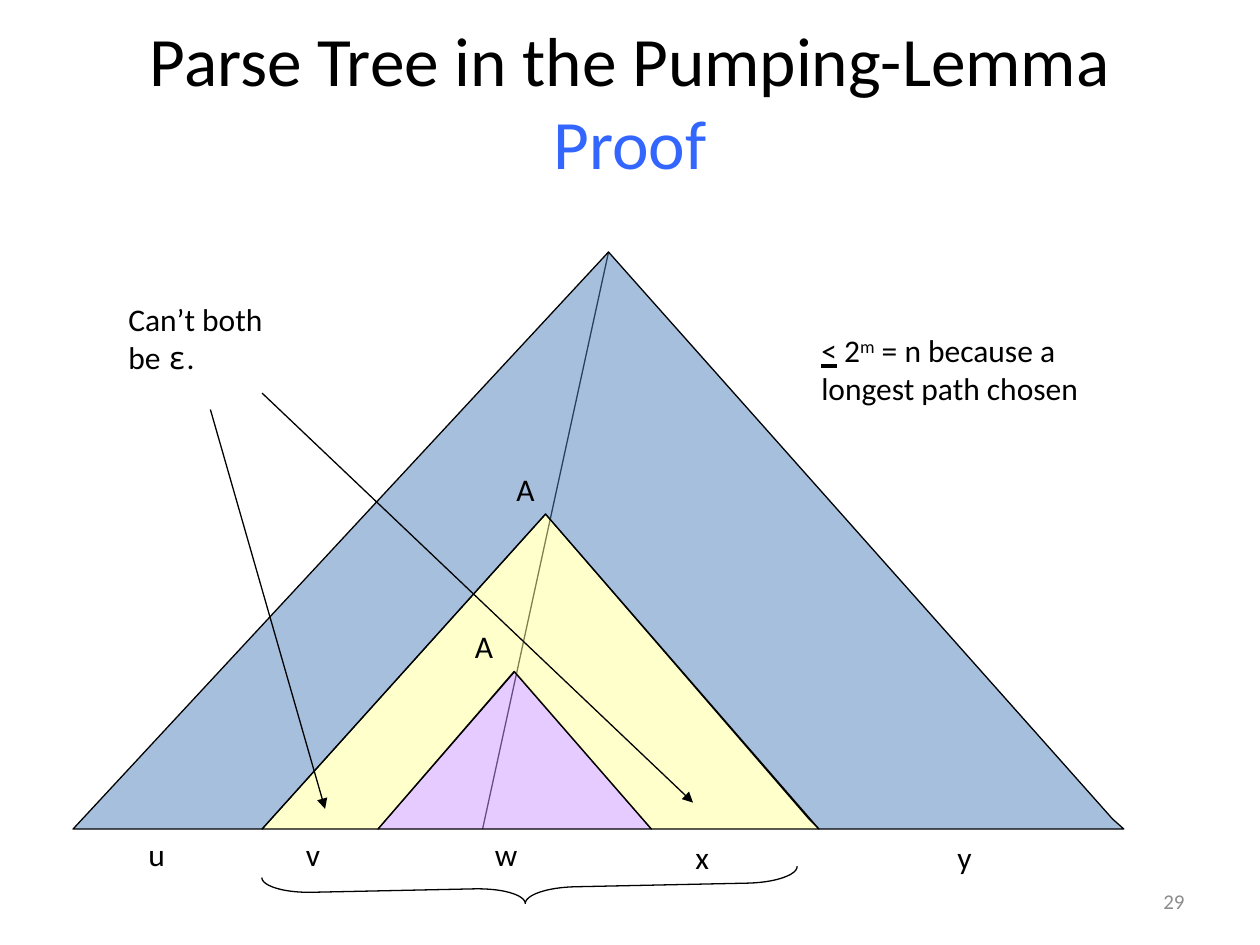
from dataclasses import dataclass

from lxml import etree
from pptx import Presentation
from pptx import util as u
from pptx.dml.color import RGBColor
from pptx.enum import shapes, text
from pptx.oxml.ns import qn


@dataclass(frozen=True)
class Theme:
    font: str = "Calibri"
    symbol_font: str = "Noto Sans Mono"
    ink: str = "000000"
    accent: str = "3366FF"
    muted: str = "8C8C8C"
    outer: str = "4F81BD"
    middle: str = "FFFF99"
    inner: str = "CC99FF"
    title: float = 39.6
    body: float = 18
    number: float = 12
    stroke: float = 0.75


theme = Theme()
deck = Presentation()
deck.slide_width, deck.slide_height = u.Inches(10), u.Inches(7.5)
page = deck.slides.add_slide(deck.slide_layouts[6])


def write(paragraphs, place, size=theme.body, color=theme.ink, align=text.PP_ALIGN.LEFT,
          anchor=text.MSO_ANCHOR.TOP, wrap=False):
    box = page.shapes.add_textbox(*map(u.Inches, place))
    frame = box.text_frame
    frame.word_wrap = wrap
    frame.auto_size = text.MSO_AUTO_SIZE.NONE if wrap else text.MSO_AUTO_SIZE.SHAPE_TO_FIT_TEXT
    frame.vertical_anchor = anchor
    for index, runs in enumerate(paragraphs):
        para = frame.add_paragraph() if index else frame.paragraphs[0]
        para.alignment = align
        for words, style in runs:
            span = para.add_run()
            span.text = words
            span.font.name = style.get("font", theme.font)
            span.font.size = u.Pt(size)
            span.font.color.rgb = RGBColor.from_string(style.get("color", color))
            if style.get("underline"):
                span.font.underline = True
            if style.get("raised"):
                span.font._element.set("baseline", "30000")


def paint(shape, fill=None):
    shape.shadow.inherit = False
    shape.line.color.rgb = RGBColor.from_string(theme.ink)
    shape.line.width = u.Pt(theme.stroke)
    if fill:
        shape.fill.solid()
        shape.fill.fore_color.rgb = RGBColor.from_string(fill)
        color = shape.fill._xPr.find(qn("a:solidFill"))[0]
        etree.SubElement(color, qn("a:alpha")).set("val", "50000")
    else:
        shape.fill.background()


write([[("29", {})]], (7.17, 6.95, 2.33, 0.4), size=theme.number, color=theme.muted,
      align=text.PP_ALIGN.RIGHT, anchor=text.MSO_ANCHOR.MIDDLE, wrap=True)
write([[("Parse Tree in the Pumping-Lemma ", {}), ("Proof", {"color": theme.accent})]],
      (0.75, 0.17, 8.5, 1.25), size=theme.title,
      align=text.PP_ALIGN.CENTER, anchor=text.MSO_ANCHOR.MIDDLE, wrap=True)

lines = []
for start, end in (((4.83, 2), (3.83, 6.58)),
                   ((1.67, 3.25), (2.58, 6.42)),
                   ((2.08, 3.12), (5.5, 6.37))):
    line = page.shapes.add_connector(shapes.MSO_CONNECTOR.STRAIGHT, *map(u.Inches, start + end))
    line.line.color.rgb = RGBColor.from_string(theme.ink)
    line.line.width = u.Pt(theme.stroke)
    etree.SubElement(line._element.spPr, qn("a:effectLst"))
    lines.append(line)
tree_path, *arrows = lines
for arrow in arrows:
    etree.SubElement(arrow.line._get_or_add_ln(), qn("a:tailEnd")).set("type", "triangle")

brace = page.shapes.add_shape(shapes.MSO_SHAPE.LEFT_BRACE,
                              *map(u.Inches, (4.08, 4.92, 0.25, 4.25)))
brace.rotation = 268.8
brace.adjustments[0], brace.adjustments[1] = 1.594, 0.491
paint(brace)

inner_tree = page.shapes.add_shape(shapes.MSO_SHAPE.ISOSCELES_TRIANGLE,
                                   *map(u.Inches, (3, 5.33, 2.17, 1.25)))
paint(inner_tree, theme.inner)

base = 6.58
bands = (
    (theme.middle, [(3, base), (2.08, base), (4.33, 4.08), (6.42, 6.5),
                    (6.5, base), (5.17, base), (4.08, 5.33)]),
    (theme.outer, [(2.08, base), (0.58, base), (4.83, 2), (8.83, 6.5),
                   (8.92, base), (6.5, base), (4.33, 4.08)]),
)
for fill, corners in bands:
    points = [(u.Inches(x), u.Inches(y)) for x, y in corners]
    builder = page.shapes.build_freeform(*points[0])
    builder.add_line_segments(points[1:], close=True)
    paint(builder.convert_to_shape(), fill)

for arrow in arrows:
    page.shapes._spTree.append(arrow._element)

for label, left, top, width in (("A", 4, 3.68, 0.4), ("A", 3.67, 4.93, 0.4),
                                ("u", 1.08, base, 0.39), ("v", 2.33, base, 0.37),
                                ("w", 3.83, base, 0.45), ("x", 5.42, 6.6, 0.37),
                                ("y", 7.5, 6.6, 0.37)):
    write([[(label, {})]], (left, top, width, 0.5))

write([[("<", {"underline": True}), (" 2", {}), ("m", {"raised": True}), (" = n because a", {})],
       [("longest path chosen", {})]], (6.42, 2.58, 3.16, 0.9))
write([[("Can’t both", {})],
       [("be ", {}), ("ε", {"font": theme.symbol_font}), (".", {})]], (0.92, 2.33, 1.71, 0.9))

deck.save("out.pptx")
